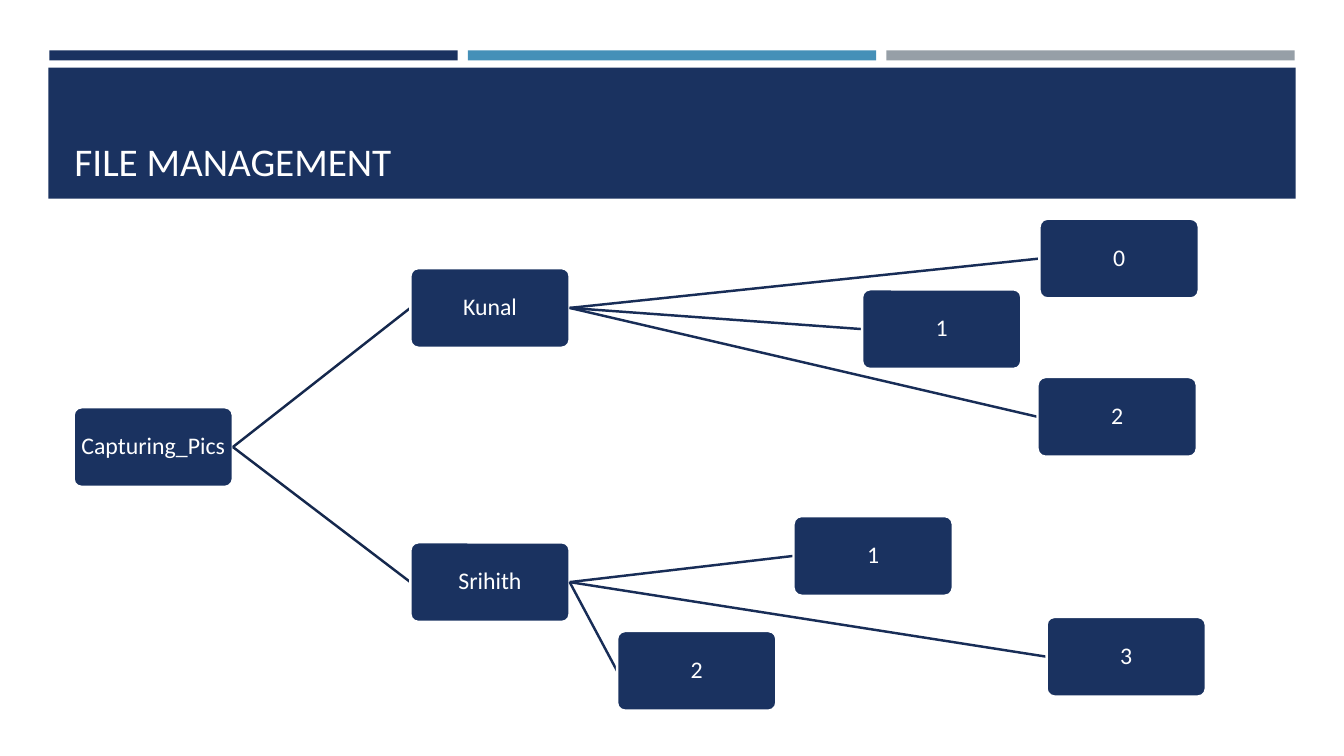
import pptx
import pptx.dml.color
import pptx.enum.shapes
import pptx.enum.text
import pptx.oxml
import pptx.oxml.ns
import pptx.util

Inches = pptx.util.Inches
Pt = pptx.util.Pt
RGBColor = pptx.dml.color.RGBColor
Shape = pptx.enum.shapes.MSO_SHAPE
Anchor = pptx.enum.text.MSO_ANCHOR
Align = pptx.enum.text.PP_ALIGN

NAVY = RGBColor(0x1A, 0x32, 0x60)
BLUE = RGBColor(0x45, 0x90, 0xB8)
GRAY = RGBColor(0x96, 0x9F, 0xA7)
WHITE = RGBColor(0xFF, 0xFF, 0xFF)
ROOT_LINE = RGBColor(0x15, 0x28, 0x4D)
BRANCH_LINE = RGBColor(0x18, 0x2D, 0x57)

FONT = "Calibri"
LINE_WIDTH = Pt(1.75)
NODE_WIDTH, NODE_HEIGHT = 1.58, 0.79
LEFT_SIDE, RIGHT_SIDE = 1, 3

NODE_FRAME = {
    "word_wrap": True,
    "vertical_anchor": Anchor.MIDDLE,
    "margin_left": Inches(0.03),
    "margin_right": Inches(0.03),
    "margin_top": Inches(0.03),
    "margin_bottom": Inches(0.03),
}
TITLE_FRAME = {"word_wrap": True, "vertical_anchor": Anchor.BOTTOM}

FILE_TREE = ("Capturing_Pics", 0, 1.87, [
    ("Kunal", 3.34, 0.49, [
        ("0", 9.58, 0, []),
        ("1", 7.82, 0.7, []),
        ("2", 9.56, 1.57, []),
    ]),
    ("Srihith", 3.34, 3.21, [
        ("1", 7.14, 2.95, []),
        ("2", 5.39, 4.09, []),
        ("3", 9.65, 3.95, []),
    ]),
])


def set_attributes(target, values):
    for name, value in values.items():
        setattr(target, name, value)


def write_text(shape, text, size, alignment, frame_format, line_spacing):
    set_attributes(shape.text_frame, frame_format)
    paragraph = shape.text_frame.paragraphs[0]
    paragraph.text = text
    set_attributes(paragraph, {"alignment": alignment, "line_spacing": line_spacing})
    set_attributes(paragraph.font, {"name": FONT, "size": Pt(size)})
    paragraph.font.color.rgb = WHITE


def add_filled(slide, kind, left, top, width, height, color):
    shape = slide.shapes.add_shape(
        kind, Inches(left), Inches(top), Inches(width), Inches(height))
    shape.shadow.inherit = False
    shape.fill.solid()
    shape.fill.fore_color.rgb = color
    shape.line.fill.background()
    return shape


def add_accent_bars(slide, left, top, width, height):
    gap = 0.1
    bar_width = (width - 2 * gap) / 3
    for index, color in enumerate((NAVY, BLUE, GRAY)):
        bar_left = left + index * (bar_width + gap)
        add_filled(slide, Shape.RECTANGLE, bar_left, top, bar_width, height, color)


def add_title_band(slide, left, top, width, height):
    add_filled(slide, Shape.RECTANGLE, left, top, width, height, NAVY)
    title = slide.shapes.add_textbox(
        Inches(left + 0.16), Inches(top + 0.1),
        Inches(width - 0.31), Inches(height - 0.19))
    write_text(title, "FILE MANAGEMENT", 28, Align.LEFT, TITLE_FRAME, 1)


def start_connector(slide, parent, color):
    connector = slide.shapes.add_connector(
        pptx.enum.shapes.MSO_CONNECTOR.STRAIGHT, 0, 0, 0, 0)
    connector.line.color.rgb = color
    connector.line.width = LINE_WIDTH
    properties = connector._element.spPr
    properties.append(pptx.oxml.parse_xml(
        "<a:effectLst %s/>" % pptx.oxml.ns.nsdecls("a")))
    connector.begin_connect(parent, RIGHT_SIDE)
    return connector


def add_file_tree(slide, left, top, branch, parent=None, color=ROOT_LINE):
    label, offset_x, offset_y, children = branch
    connector = start_connector(slide, parent, color) if parent else None
    node = add_filled(slide, Shape.ROUNDED_RECTANGLE, left + offset_x,
                      top + offset_y, NODE_WIDTH, NODE_HEIGHT, NAVY)
    node.adjustments[0] = 0.1
    node.line.color.rgb = WHITE
    node.line.width = LINE_WIDTH
    write_text(node, label, 17, Align.CENTER, NODE_FRAME, 0.9)
    if connector:
        connector.end_connect(node, LEFT_SIDE)
    child_color = BRANCH_LINE if parent else ROOT_LINE
    for child in children:
        add_file_tree(slide, left, top, child, node, child_color)


def main():
    presentation = pptx.Presentation()
    set_attributes(presentation, {
        "slide_width": Inches(13.33), "slide_height": Inches(7.5)})
    slide = presentation.slides.add_slide(presentation.slide_layouts[6])
    add_accent_bars(slide, 0.49, 0.5, 12.35, 0.1)
    add_title_band(slide, 0.48, 0.67, 12.37, 1.3)
    add_file_tree(slide, 0.73, 2.17, FILE_TREE)
    presentation.save("out.pptx")


if __name__ == "__main__":
    main()
